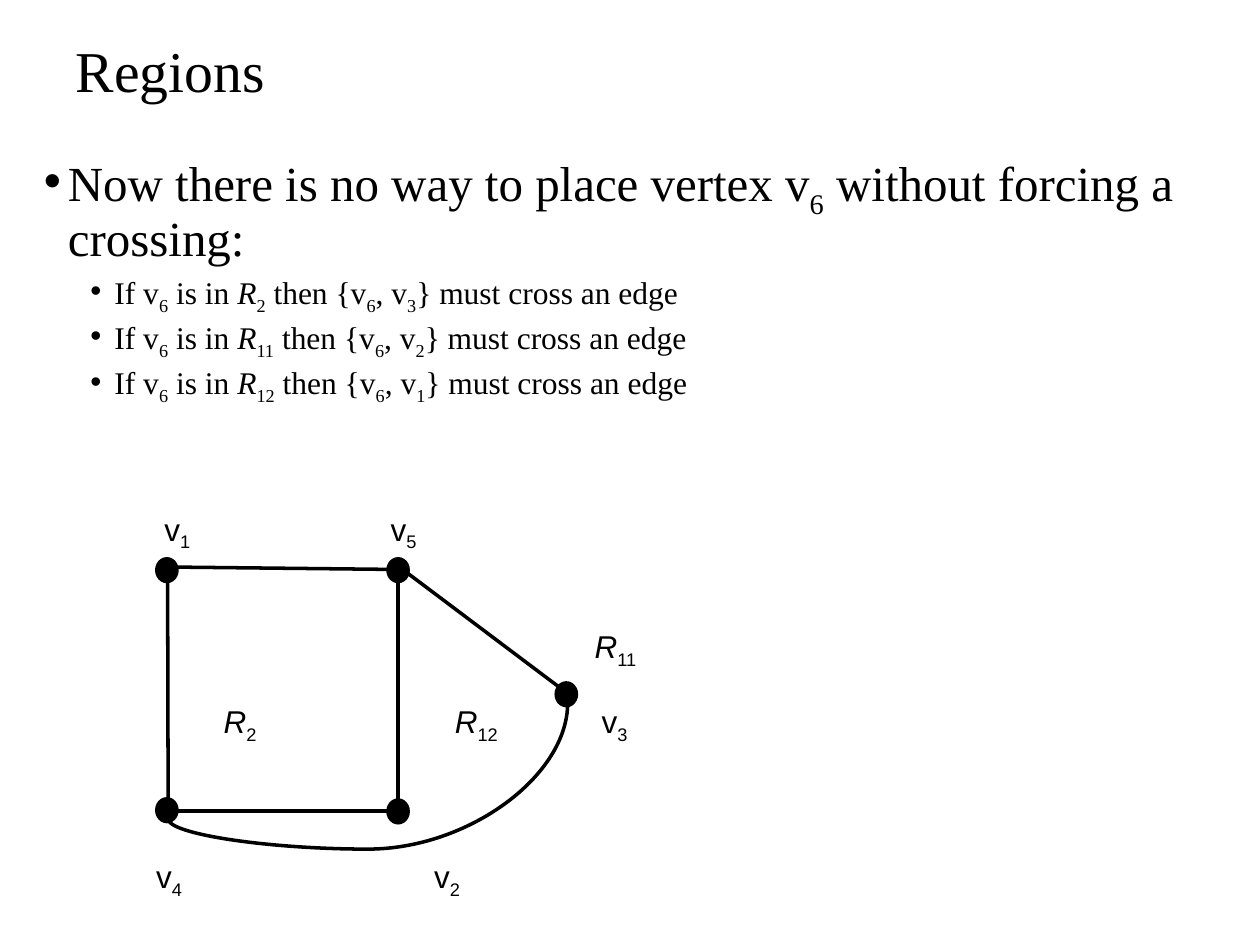
from dataclasses import dataclass

from lxml import etree
from pptx import Presentation
from pptx.dml.color import RGBColor
from pptx.enum.shapes import MSO_CONNECTOR, MSO_SHAPE
from pptx.enum.text import MSO_ANCHOR, PP_ALIGN
from pptx.oxml.ns import qn
from pptx.util import Inches, Pt

BLACK = RGBColor(0x00, 0x00, 0x00)
SERIF, SANS = "Times New Roman", "Arial"
LEFT, MIDDLE = PP_ALIGN.LEFT, MSO_ANCHOR.MIDDLE
STRAIGHT, CURVE, OVAL = MSO_CONNECTOR.STRAIGHT, MSO_CONNECTOR.CURVE, MSO_SHAPE.OVAL

WIDTH, HEIGHT = Inches(10), Inches(7.5)
COLS, ROWS = 100, 75
LINE_WIDTH = Pt(2)


@dataclass(frozen=True)
class Run:
    text: str
    italic: bool = False
    sub: bool = False


@dataclass(frozen=True)
class Label:
    name: str
    index: str
    col: float
    row: float


@dataclass(frozen=True)
class Edge:
    start: tuple[float, float]
    end: tuple[float, float]


LABELS = [
    Label("v", "1", 13.05, 40.45), Label("v", "5", 31, 40.45),
    Label("R", "11", 47.2, 49.8),
    Label("R", "2", 17.75, 55.7), Label("R", "12", 36.1, 55.7), Label("v", "3", 47.75, 55.7),
    Label("v", "4", 12.4, 68.05), Label("v", "2", 34.45, 68.05),
]
VERTICES = [(13.25, 45.25), (31.6, 45.25), (13.25, 64.3), (31.6, 64.4), (44.95, 55.1)]
EDGES = [
    Edge((13.3, 45), (13.35, 64.3)),
    Edge((31.6, 45.2), (31.6, 64.4)),
    Edge((31.6, 64.35), (13.3, 64.35)),
    Edge((31.6, 45.2), (13.3, 45)),
    Edge((31.7, 45), (45, 55)),
]
CROSSINGS = [("2", "3"), ("11", "2"), ("12", "1")]


def x(cols: float) -> int:
    return round(WIDTH * cols / COLS)


def y(rows: float) -> int:
    return round(HEIGHT * rows / ROWS)


def symbol(name: str, index: str) -> list[Run]:
    return [Run(name, italic=name == "R"), Run(index, sub=True)]


def add_runs(p, runs: list[Run], size: float, font: str) -> None:
    for run in runs:
        r = p.add_run()
        r.text = run.text
        r.font.size, r.font.name = Pt(size), font
        r.font.italic = run.italic
        r.font.color.rgb = BLACK
        if run.sub:
            r.font._element.set("baseline", "-25000")


def add_bullet(p, indent: float) -> None:
    pPr = p._p.get_or_add_pPr()
    pPr.set("marL", str(Inches(indent)))
    pPr.set("indent", str(-Inches(0.19)))
    etree.SubElement(pPr, qn("a:buFont")).set("typeface", SANS)
    etree.SubElement(pPr, qn("a:buChar")).set("char", "•")


def add_title(s, text: str) -> None:
    title = s.shapes.title
    title.left, title.top, title.width, title.height = x(5), y(1.7), x(90), y(8.3)
    tf = title.text_frame
    tf.vertical_anchor = MIDDLE
    p = tf.paragraphs[0]
    p.alignment, p.line_spacing = LEFT, 0.9
    add_runs(p, [Run(text)], 33, SERIF)


def add_body(s) -> None:
    tf = s.shapes.add_textbox(x(2.5), y(11.7), x(94.2), y(31.7)).text_frame
    tf.word_wrap = True
    p = tf.paragraphs[0]
    add_bullet(p, 0.19)
    p.line_spacing = 0.9
    v6 = symbol("v", "6")
    add_runs(p, [Run("Now there is no way to place vertex "), *v6,
                 Run(" without forcing a crossing:")], 28, SERIF)
    for region, vertex in CROSSINGS:
        p = tf.add_paragraph()
        p.level = 1
        add_bullet(p, 0.56)
        p.line_spacing, p.space_before = 0.9, Pt(3.8)
        add_runs(p, [Run("If "), *v6, Run(" is in "), *symbol("R", region),
                     Run(" then {"), *v6, Run(", "), *symbol("v", vertex),
                     Run("} must cross an edge")], 18, SERIF)


def add_label(s, label: Label) -> None:
    tf = s.shapes.add_textbox(x(label.col), y(label.row), x(5), y(3)).text_frame
    tf.margin_left = tf.margin_right = tf.margin_top = tf.margin_bottom = 0
    tf.word_wrap = True
    add_runs(tf.paragraphs[0], symbol(label.name, label.index), 18, SANS)


def add_edge(s, edge: Edge, kind=STRAIGHT):
    (x1, y1), (x2, y2) = edge.start, edge.end
    line = s.shapes.add_connector(kind, x(x1), y(y1), x(x2), y(y2))
    line.line.color.rgb, line.line.width = BLACK, LINE_WIDTH
    etree.SubElement(line._element.spPr, qn("a:effectLst"))
    return line


def add_curve(s, edge: Edge, bend: float) -> None:
    (x1, y1), (x2, y2) = edge.start, edge.end
    mid_x, mid_y = (x1 + x2) / 2, (y1 + y2) / 2
    half_w, half_h = abs(y2 - y1) / 2, abs(x2 - x1) / 2
    frame = Edge((mid_x - half_w, mid_y - half_h), (mid_x + half_w, mid_y + half_h))
    spPr = add_edge(s, frame, CURVE)._element.spPr
    spPr.find(qn("a:xfrm")).set("rot", str(90 * 60000))
    guides = spPr.find(qn("a:prstGeom")).find(qn("a:avLst"))
    guide = etree.SubElement(guides, qn("a:gd"))
    guide.set("name", "adj1")
    guide.set("fmla", f"val {round(bend * 100000)}")


def add_vertex(s, centre: tuple[float, float]) -> None:
    col, row = centre
    dot = s.shapes.add_shape(OVAL, x(col - 0.8), y(row - 0.9), x(1.6), y(1.8))
    dot.shadow.inherit = False
    dot.fill.solid()
    dot.fill.fore_color.rgb = BLACK
    dot.line.color.rgb, dot.line.width = BLACK, LINE_WIDTH


def main() -> None:
    prs = Presentation()
    prs.slide_width, prs.slide_height = WIDTH, HEIGHT
    s = prs.slides.add_slide(prs.slide_layouts[5])
    add_title(s, "Regions")
    add_body(s)
    for label in LABELS:
        add_label(s, label)
    for edge in EDGES:
        add_edge(s, edge)
    add_curve(s, Edge((45.05, 55.8), (13.35, 65)), 1.26)
    for centre in VERTICES:
        add_vertex(s, centre)
    prs.save("out.pptx")


if __name__ == "__main__":
    main()
